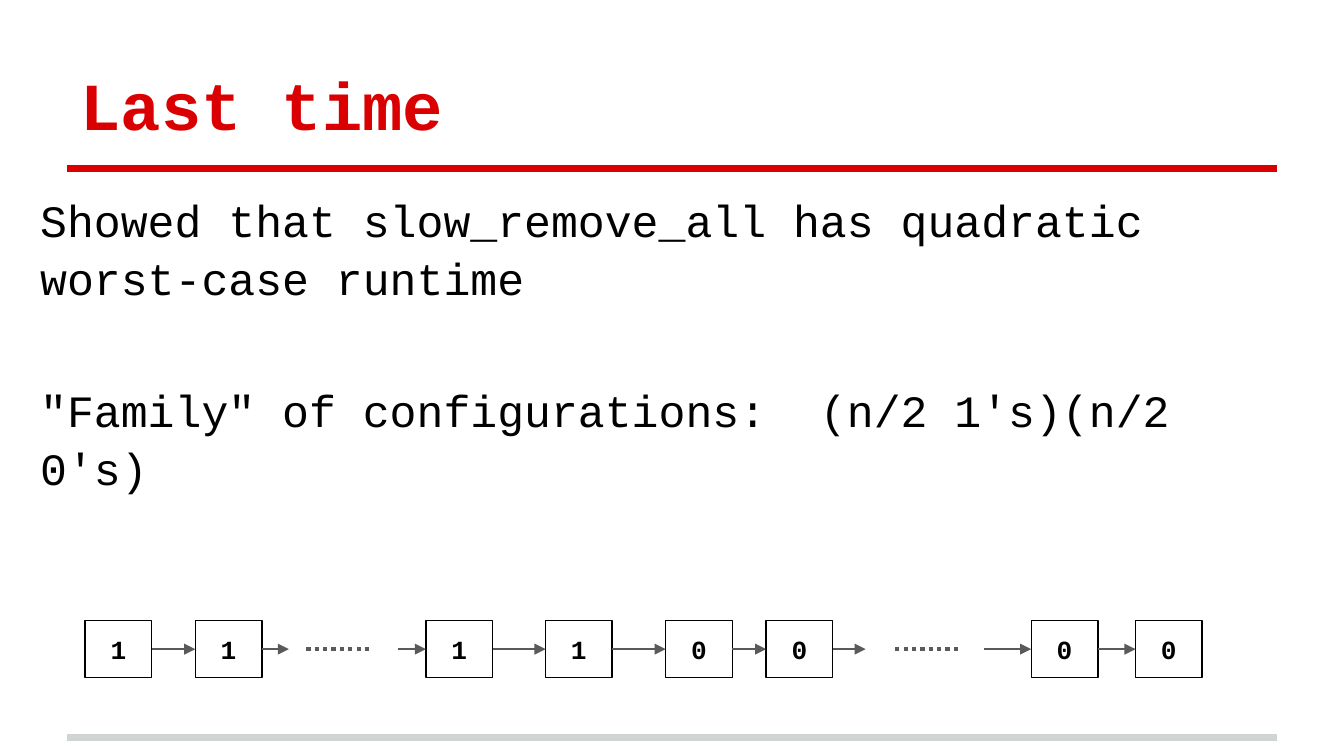
from dataclasses import dataclass

import pptx
import pptx.dml.color
import pptx.enum.dml
import pptx.enum.shapes
import pptx.enum.text
import pptx.oxml
import pptx.oxml.ns
import pptx.util
from pptx.util import Cm

FONT = "Courier New"
RED, BLACK, GRAY, SILVER = "DA0002", "000000", "5B595A", "CFD4D4"
BOX_W, BOX_H, BOX_TOP = 1.26, 1.08, 11.73
MID_Y = BOX_TOP + BOX_H / 2
RIGHT, LEFT = 3, 1  # connection sites of a rectangle


@dataclass
class Node:
    value: str
    left: float


@dataclass
class Gap:
    """Elided nodes: where the arrows stop and where the dots run, in cm."""
    arrow_end: float
    dots_start: float
    dots_end: float
    arrow_start: float


NODES = [
    Node("1", 1.61), Node("1", 3.69), Node("1", 8.05), Node("1", 10.31),
    Node("0", 12.58), Node("0", 14.48), Node("0", 19.49), Node("0", 21.46),
]
GAPS = {  # keyed by the index of the node before the gap
    1: Gap(5.46, 5.79, 7.01, 7.52),
    5: Gap(16.36, 16.92, 18.16, 18.59),
}


def rgb(value: str) -> pptx.dml.color.RGBColor:
    return pptx.dml.color.RGBColor.from_string(value)


def set_font(p, size: float, color: str, bold: bool = False) -> None:
    p.font.name = FONT
    p.font.size = pptx.util.Pt(size)
    p.font.bold = bold
    p.font.color.rgb = rgb(color)


def set_frame(tf, anchor) -> None:
    tf.word_wrap = True
    tf.vertical_anchor = anchor
    tf.margin_left = tf.margin_right = tf.margin_top = tf.margin_bottom = Cm(0.25)


def add_line(s, x1: float, x2: float, y: float, color: str, width: float,
             arrow: bool = False):
    c = s.shapes.add_connector(pptx.enum.shapes.MSO_CONNECTOR.STRAIGHT,
                               Cm(x1), Cm(y), Cm(x2), Cm(y))
    c.line.color.rgb = rgb(color)
    c.line.width = pptx.util.Pt(width)
    if arrow:
        tail = pptx.oxml.parse_xml(
            f'<a:tailEnd {pptx.oxml.ns.nsdecls("a")} type="triangle"/>')
        c.line._get_or_add_ln().append(tail)
    c._element.spPr.append(
        pptx.oxml.parse_xml(f'<a:effectLst {pptx.oxml.ns.nsdecls("a")}/>'))
    return c


def add_text(s, left: float, top: float, width: float, height: float, anchor):
    tf = s.shapes.add_textbox(Cm(left), Cm(top), Cm(width), Cm(height)).text_frame
    set_frame(tf, anchor)
    return tf


def add_node(s, node: Node):
    sp = s.shapes.add_shape(pptx.enum.shapes.MSO_SHAPE.RECTANGLE,
                            Cm(node.left), Cm(BOX_TOP), Cm(BOX_W), Cm(BOX_H))
    sp.shadow.inherit = False
    sp.fill.background()
    sp.line.color.rgb = rgb(BLACK)
    sp.line.width = pptx.util.Pt(0.75)
    set_frame(sp.text_frame, pptx.enum.text.MSO_ANCHOR.MIDDLE)
    p = sp.text_frame.paragraphs[0]
    p.text = node.value
    p.alignment = pptx.enum.text.PP_ALIGN.CENTER
    set_font(p, 14, BLACK, bold=True)
    return sp


def add_arrow(s, x1: float, x2: float, begin=None, end=None) -> None:
    c = add_line(s, x1, x2, MID_Y, GRAY, 0.75, arrow=True)
    if begin is not None:
        c.begin_connect(begin, RIGHT)
    if end is not None:
        c.end_connect(end, LEFT)


def main() -> None:
    prs = pptx.Presentation()
    prs.slide_width, prs.slide_height = Cm(25.4), Cm(14.29)
    s = prs.slides.add_slide(prs.slide_layouts[6])

    # Rules
    add_line(s, 1.27, 24.13, 13.94, SILVER, 4)
    add_line(s, 1.27, 24.13, 3.18, RED, 4)

    # Title
    tf = add_text(s, 1.27, 0.58, 22.86, 2.39, pptx.enum.text.MSO_ANCHOR.BOTTOM)
    tf.text = "Last time"
    set_font(tf.paragraphs[0], 36, RED, bold=True)

    # Body
    tf = add_text(s, 0.51, 3.33, 23.62, 3.05, pptx.enum.text.MSO_ANCHOR.TOP)
    tf.text = ("Showed that slow_remove_all has quadratic worst-case runtime\n"
               "\"Family\" of configurations:  (n/2 1's)(n/2 0's)")
    for p in tf.paragraphs:
        p.line_spacing = 1.07
        set_font(p, 24, BLACK)
    tf.paragraphs[1].space_before = pptx.util.Pt(40)

    # Linked list
    boxes = [add_node(s, node) for node in NODES]
    for i, (a, b) in enumerate(zip(NODES, NODES[1:])):
        gap = GAPS.get(i)
        if gap is None:
            add_arrow(s, a.left + BOX_W, b.left, boxes[i], boxes[i + 1])
            continue
        add_arrow(s, a.left + BOX_W, gap.arrow_end, begin=boxes[i])
        dots = add_line(s, gap.dots_start, gap.dots_end, MID_Y, GRAY, 2.25)
        dots.line.dash_style = pptx.enum.dml.MSO_LINE.ROUND_DOT
        add_arrow(s, gap.arrow_start, b.left, end=boxes[i + 1])

    prs.save("out.pptx")


if __name__ == "__main__":
    main()
